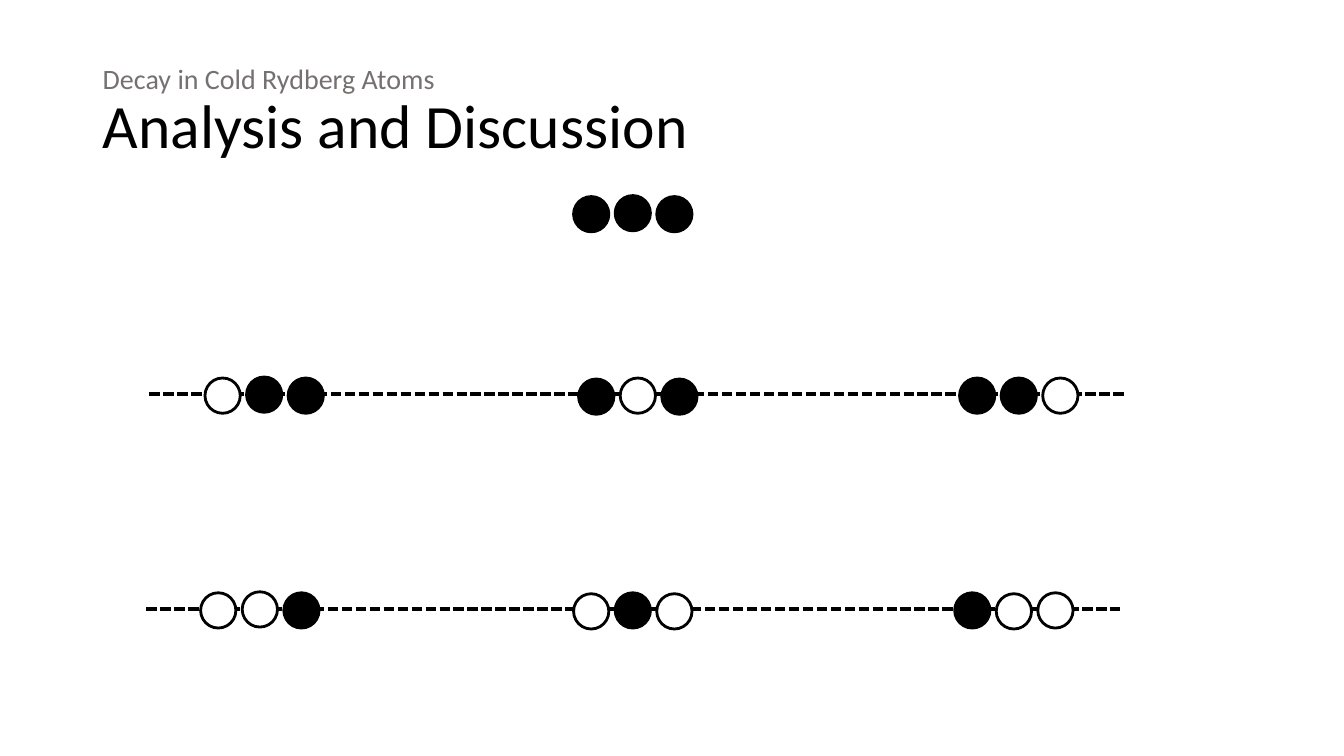
from copy import deepcopy
from dataclasses import dataclass

from lxml.etree import SubElement
from pptx import Presentation
from pptx.dml.color import RGBColor
from pptx.enum.dml import MSO_LINE
from pptx.enum.shapes import MSO_CONNECTOR, MSO_SHAPE
from pptx.enum.text import MSO_ANCHOR, MSO_AUTO_SIZE, PP_ALIGN
from pptx.oxml.ns import qn
from pptx.slide import Slide
from pptx.util import Pt

COLOURS = {"black": "000000", "white": "FFFFFF", "grey": "767171"}
FONT = "Calibri"
ATOM_SIZE = 25.2
ATOM_STEP = 29.7


@dataclass(frozen=True)
class Chain:
    left: float
    top: float
    atoms: str  # "x" is a filled atom, "o" an open one
    middle_shift: float = -0.7


@dataclass(frozen=True)
class Level:
    left: float
    y: float
    width: float = 698.4


LEVELS = [Level(106.6, 281.5), Level(104.4, 434.9)]
CHAINS = [
    Chain(143.3, 423.4, "oox"),
    Chain(409.7, 424.1, "oxo"),
    Chain(681.9, 423.4, "xoo", 0.7),
    Chain(146.4, 270, "oxx"),
    Chain(685.4, 270, "xxo", 0),
    Chain(413.3, 270.7, "xox"),
    Chain(409.7, 140.4, "xxx"),
]


def colour(name: str) -> RGBColor:
    return RGBColor.from_string(COLOURS[name])


def add_text(para, text: str, *, size: float, tint: str):
    span = para.add_run()
    span.text = text
    span.font.name = FONT
    span.font.size = Pt(size)
    span.font.color.rgb = colour(tint)
    return span


def fill_title(slide: Slide) -> None:
    title = slide.shapes.title
    title.left, title.top = Pt(66.2), Pt(28.8)
    title.width, title.height = Pt(828), Pt(104.4)
    frame = title.text_frame
    frame.word_wrap = True
    frame.auto_size = MSO_AUTO_SIZE.NONE
    frame.vertical_anchor = MSO_ANCHOR.MIDDLE
    para = frame.paragraphs[0]
    para.alignment = PP_ALIGN.LEFT
    para.line_spacing = 0.9
    topic = add_text(para, "Decay in Cold Rydberg Atoms", size=20, tint="grey")
    para.add_line_break()
    # The break takes the small size, so the first line stays low.
    para._p.findall(qn("a:br"))[-1].append(deepcopy(topic.font._element))
    add_text(para, "Analysis and Discussion", size=44, tint="black")


def add_level(slide: Slide, level: Level) -> None:
    line = slide.shapes.add_connector(
        MSO_CONNECTOR.STRAIGHT,
        Pt(level.left), Pt(level.y), Pt(level.left + level.width), Pt(level.y),
    )
    line.line.color.rgb = colour("black")
    line.line.width = Pt(2.5)
    line.line.dash_style = MSO_LINE.SQUARE_DOT
    SubElement(line._element.spPr, qn("a:effectLst"))


def add_chain(slide: Slide, chain: Chain) -> None:
    group = slide.shapes.add_group_shape()
    for index, state in enumerate(chain.atoms):
        top = chain.top + (chain.middle_shift if index == 1 else 0)
        atom = group.shapes.add_shape(
            MSO_SHAPE.OVAL, Pt(chain.left + index * ATOM_STEP), Pt(top),
            Pt(ATOM_SIZE), Pt(ATOM_SIZE),
        )
        atom.shadow.inherit = False
        atom.fill.solid()
        atom.fill.fore_color.rgb = colour("black" if state == "x" else "white")
        atom.line.color.rgb = colour("black")
        atom.line.width = Pt(2)


def main() -> None:
    deck = Presentation()
    deck.slide_width, deck.slide_height = Pt(960), Pt(540)
    page = deck.slides.add_slide(deck.slide_layouts.get_by_name("Title Only"))
    page.background.fill.solid()
    page.background.fill.fore_color.rgb = colour("white")
    fill_title(page)
    for level in LEVELS:
        add_level(page, level)
    for chain in CHAINS:
        add_chain(page, chain)
    deck.save("out.pptx")


if __name__ == "__main__":
    main()
